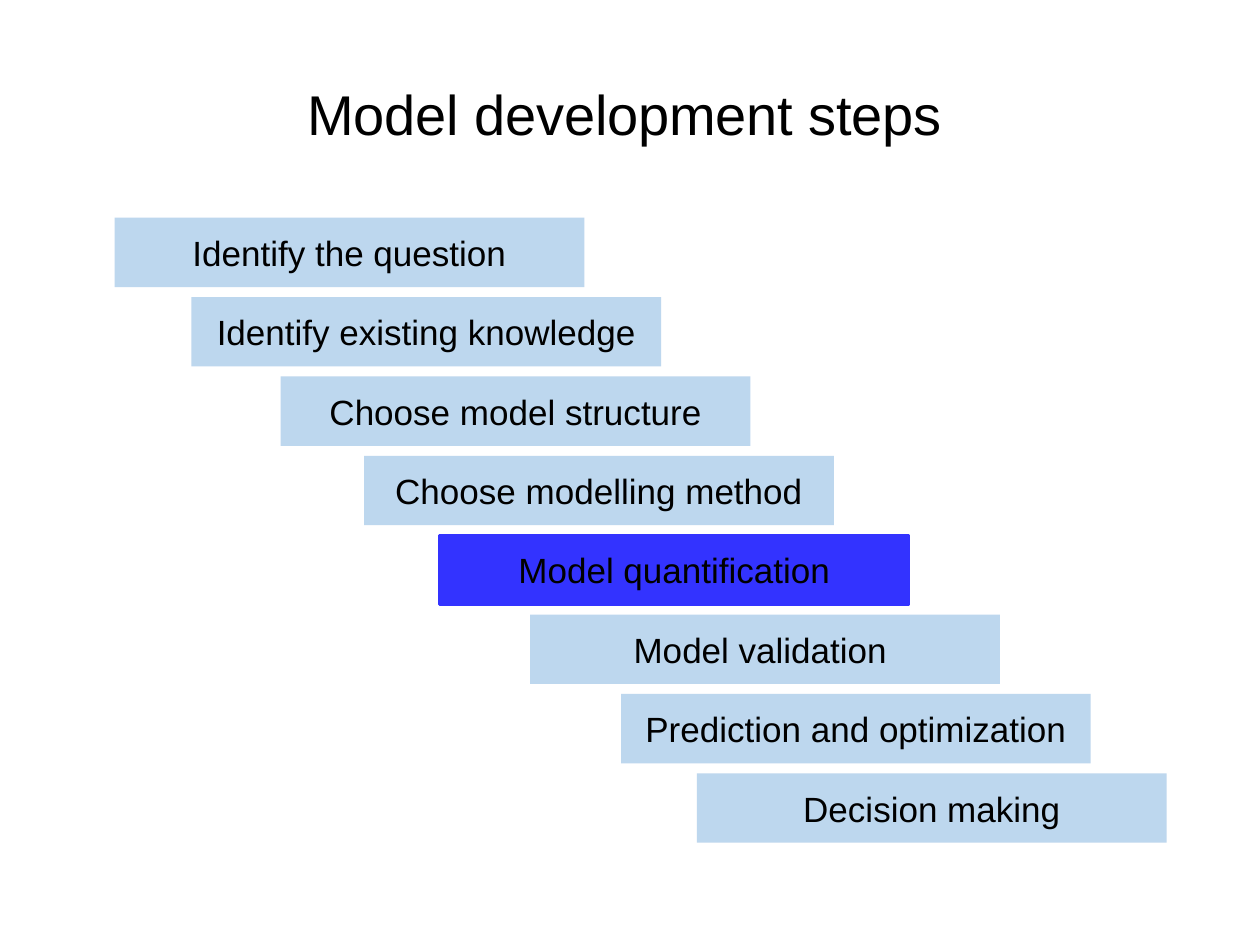
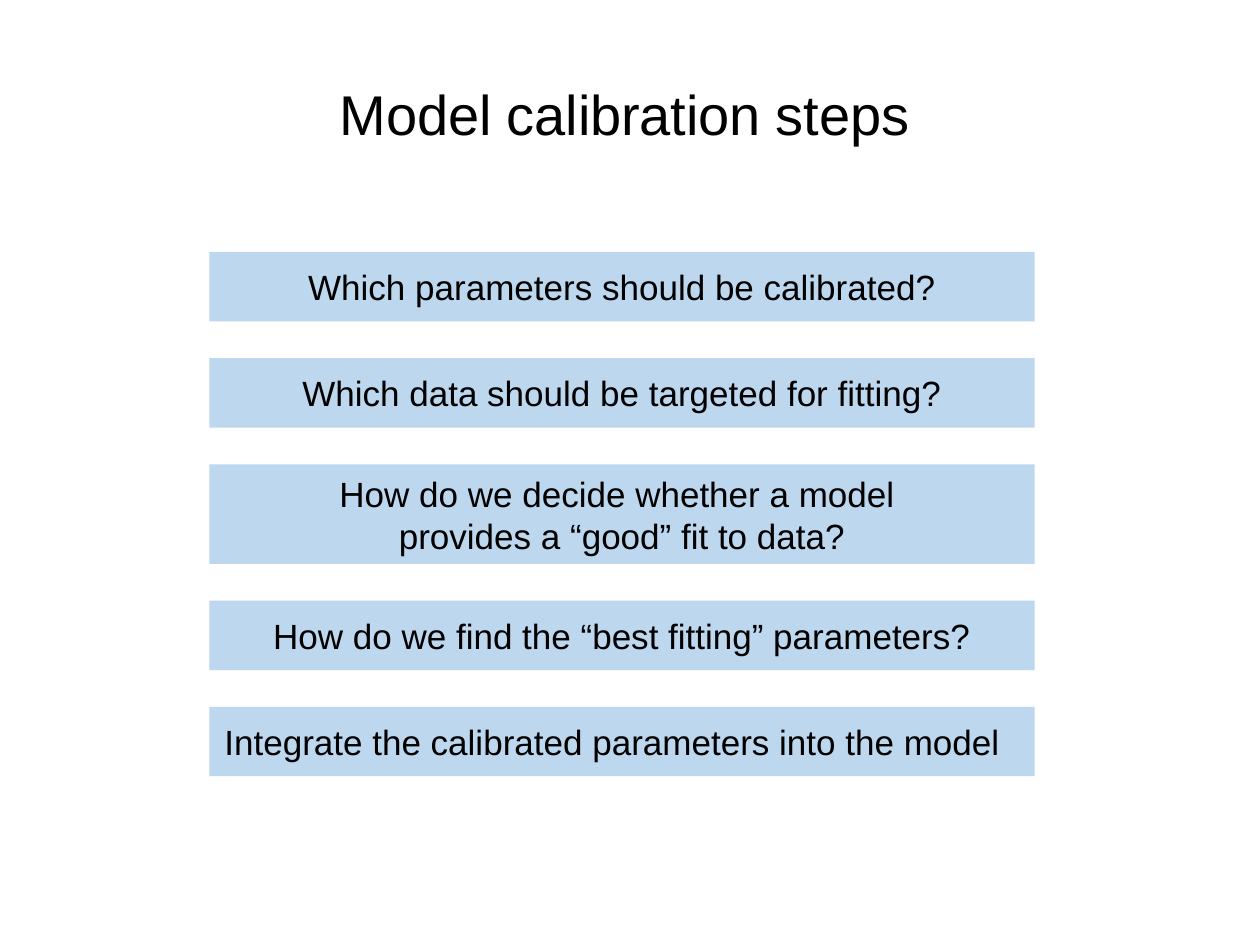
from dataclasses import dataclass

from pptx import Presentation
from pptx.dml.color import RGBColor
from pptx.enum.shapes import MSO_SHAPE as Preset
from pptx.enum.text import MSO_ANCHOR as Anchor, MSO_AUTO_SIZE as AutoSize, PP_ALIGN as Align
from pptx.slide import Slide
from pptx.text.text import TextFrame
from pptx.util import Cm, Pt

TITLE_ONLY = 5


@dataclass(frozen=True)
class Theme:
    font: str = "Arial"
    ink: RGBColor = RGBColor(0x00, 0x00, 0x00)
    step: RGBColor = RGBColor(0xBD, 0xD7, 0xEE)
    highlight: RGBColor = RGBColor(0x33, 0x33, 0xFF)
    title_size: float = 32
    step_size: float = 20
    outline: float = 1.5


@dataclass(frozen=True)
class Step:
    """A labelled bar; lengths are in centimetres."""
    text: str
    left: float
    width: float
    height: float = 1.4
    highlighted: bool = False
    right_inset: float = 0.25


THEME = Theme()
STAIR_WIDTH = 9.47
STAIR_TOP, STAIR_GAP = 4.39, 0.2
QUESTION_LEFT, QUESTION_WIDTH = 4.22, 16.64
QUESTION_TOP, QUESTION_GAP = 5.08, 0.74

DEVELOPMENT_STEPS = [
    Step("Identify the question", 2.31, STAIR_WIDTH),
    Step("Identify existing knowledge", 3.86, STAIR_WIDTH),
    Step("Choose model structure", 5.66, STAIR_WIDTH),
    Step("Choose modelling method", 7.34, STAIR_WIDTH),
    Step("Model quantification", 8.86, STAIR_WIDTH, highlighted=True),
    Step("Model validation ", 10.69, STAIR_WIDTH),
    Step("Prediction and optimization", 12.52, STAIR_WIDTH),
    Step("Decision making", 14.05, STAIR_WIDTH),
]

CALIBRATION_STEPS = [
    Step("Which parameters should be calibrated?", QUESTION_LEFT, QUESTION_WIDTH),
    Step("Which data should be targeted for fitting?", QUESTION_LEFT, QUESTION_WIDTH),
    Step("How do we decide whether a model \nprovides a “good” fit to data?",
         QUESTION_LEFT, QUESTION_WIDTH, height=2.01),
    Step("How do we find the “best fitting” parameters?", QUESTION_LEFT, QUESTION_WIDTH),
    Step("Integrate the calibrated parameters into the model",
         QUESTION_LEFT, QUESTION_WIDTH, right_inset=0.64),
]


def write_text(frame: TextFrame, text: str, *, size: float, anchor: Anchor,
               space_before: float = 0, tracking: float = 0) -> None:
    """Fill a frame with centred text, one paragraph a line; tracking is in points."""
    frame.word_wrap = True
    frame.auto_size = AutoSize.NONE
    frame.vertical_anchor = anchor
    frame.text = text
    for para in frame.paragraphs:
        para.alignment = Align.CENTER
        para.space_before = Pt(space_before)
        for span in para.runs:
            span.font.name = THEME.font
            span.font.size = Pt(size)
            span.font.color.rgb = THEME.ink
            if tracking:
                span.font._element.set("spc", str(round(tracking * 100)))


def add_titled_page(deck: Presentation, title: str) -> Slide:
    page = deck.slides.add_slide(deck.slide_layouts[TITLE_ONLY])
    box = page.shapes.title
    box.left, box.top, box.width, box.height = Cm(1.22), Cm(1.57), Cm(22.73), Cm(1.4)
    frame = box.text_frame
    frame.margin_left = frame.margin_right = frame.margin_bottom = 0
    frame.margin_top = Cm(0.03)
    write_text(frame, title, size=THEME.title_size, anchor=Anchor.TOP,
               space_before=0.9, tracking=-0.1)
    return page


def add_step(page: Slide, step: Step, top: float) -> None:
    box = page.shapes.add_shape(Preset.RECTANGLE, Cm(step.left), Cm(top),
                                Cm(step.width), Cm(step.height))
    box.shadow.inherit = False
    box.fill.solid()
    box.fill.fore_color.rgb = THEME.highlight if step.highlighted else THEME.step
    if step.highlighted:
        box.line.color.rgb = THEME.highlight
        box.line.width = Pt(THEME.outline)
    else:
        box.line.fill.background()
    box.text_frame.margin_right = Cm(step.right_inset)
    write_text(box.text_frame, step.text, size=THEME.step_size, anchor=Anchor.MIDDLE)


def stack_steps(page: Slide, steps: list[Step], top: float, gap: float) -> None:
    """Place the steps downwards with equal gaps between them."""
    for step in steps:
        add_step(page, step, top)
        top += step.height + gap


def main() -> None:
    deck = Presentation()
    deck.slide_width, deck.slide_height = Cm(25.4), Cm(19.05)
    development = add_titled_page(deck, "Model development steps")
    stack_steps(development, DEVELOPMENT_STEPS, STAIR_TOP, STAIR_GAP)
    calibration = add_titled_page(deck, "Model calibration steps")
    stack_steps(calibration, CALIBRATION_STEPS, QUESTION_TOP, QUESTION_GAP)
    deck.save("out.pptx")


if __name__ == "__main__":
    main()
